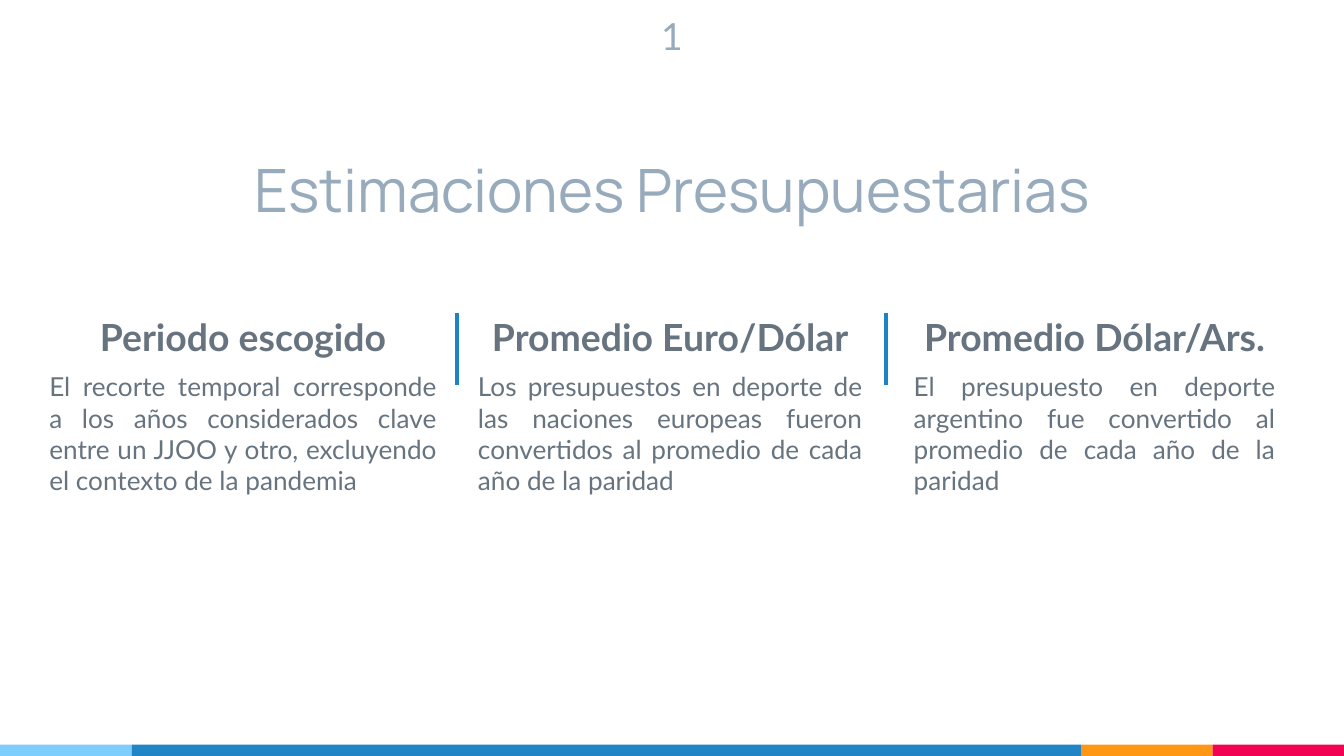
from dataclasses import dataclass

from lxml.etree import SubElement
from pptx import Presentation
from pptx.dml.color import RGBColor
from pptx.enum.shapes import MSO_CONNECTOR, MSO_SHAPE
from pptx.enum.text import MSO_ANCHOR as Anchor, MSO_AUTO_SIZE, PP_ALIGN as Align
from pptx.oxml.ns import qn
from pptx.util import Pt

SKY = RGBColor(0x7E, 0xCE, 0xFD)
BLUE = RGBColor(0x21, 0x85, 0xC5)
AMBER = RGBColor(0xFF, 0x97, 0x15)
PINK = RGBColor(0xF2, 0x02, 0x53)
RULE = RGBColor(0x1C, 0x83, 0xC5)
PALE = RGBColor(0x97, 0xAB, 0xBC)
SLATE = RGBColor(0x67, 0x74, 0x80)
WHITE = RGBColor(0xFF, 0xFF, 0xFF)

WIDTH, HEIGHT = 720, 405
INSET = 7.2
BAR_TOP = 398.9
TEXT_TOP, TEXT_HIGH = 161.3, 109.4
RULE_TOP, RULE_END = 167.5, 206.5


@dataclass
class Band:
    width: float
    color: RGBColor


@dataclass
class Column:
    left: float
    width: float
    head: str
    body: str


BANDS = [Band(70.5, SKY), Band(508.7, BLUE), Band(70.4, AMBER), Band(70.4, PINK)]

COLUMNS = [
    Column(19.3, 221.8, "Periodo escogido",
           "El recorte temporal corresponde a los años considerados clave "
           "entre un JJOO y otro, excluyendo el contexto de la pandemia"),
    Column(249, 220.2, "Promedio Euro/Dólar",
           "Los presupuestos en deporte de las naciones europeas fueron "
           "convertidos al promedio de cada año de la paridad"),
    Column(482.4, 208, "Promedio Dólar/Ars.",
           "El presupuesto en deporte argentino fue convertido al "
           "promedio de cada año de la paridad"),
]

RULES = [244.8, 474.5]


def set_frame(shape, anchor=Anchor.TOP):
    frame = shape.text_frame
    frame.word_wrap = True
    frame.auto_size = MSO_AUTO_SIZE.NONE
    frame.vertical_anchor = anchor
    frame.margin_left = frame.margin_right = Pt(INSET)
    frame.margin_top = frame.margin_bottom = Pt(INSET)
    return frame


def add_box(slide, left: float, top: float, width: float, height: float):
    box = slide.shapes.add_textbox(Pt(left), Pt(top), Pt(width), Pt(height))
    return set_frame(box)


def write(para, text: str, *, size: float, color: RGBColor, font: str = "Lato",
          bold: bool = False, align=Align.CENTER, before: float = 0) -> None:
    para.alignment = align
    para.space_before = Pt(before)
    run = para.add_run()
    run.text = text
    run.font.name = font
    run.font.size = Pt(size)
    run.font.bold = bold
    run.font.color.rgb = color


def draw_bands(slide, bands: list[Band]) -> None:
    left = 0
    for band in bands:
        bar = slide.shapes.add_shape(MSO_SHAPE.RECTANGLE, Pt(left), Pt(BAR_TOP),
                                     Pt(band.width), Pt(HEIGHT - BAR_TOP))
        bar.shadow.inherit = False
        bar.fill.solid()
        bar.fill.fore_color.rgb = band.color
        bar.line.fill.background()
        left += band.width


def draw_column(slide, col: Column) -> None:
    frame = add_box(slide, col.left, TEXT_TOP, col.width, TEXT_HIGH)
    write(frame.paragraphs[0], col.head, size=20, color=SLATE, bold=True)
    write(frame.add_paragraph(), col.body, size=14, color=SLATE,
          align=Align.JUSTIFY, before=6)


def draw_rule(slide, left: float) -> None:
    rule = slide.shapes.add_connector(MSO_CONNECTOR.STRAIGHT, Pt(left), Pt(RULE_TOP),
                                      Pt(left), Pt(RULE_END))
    rule.line.color.rgb = RULE
    rule.line.width = Pt(2.25)
    SubElement(rule._element.spPr, qn("a:effectLst"))


def main() -> None:
    deck = Presentation()
    deck.slide_width, deck.slide_height = Pt(WIDTH), Pt(HEIGHT)
    slide = deck.slides.add_slide(deck.slide_layouts[5])
    slide.background.fill.solid()
    slide.background.fill.fore_color.rgb = WHITE

    # Bottom colour strip
    draw_bands(slide, BANDS)

    # Title
    title = slide.shapes.title
    title.left, title.top = Pt(105.8), Pt(59.8)
    title.width, title.height = Pt(509), Pt(67.7)
    frame = set_frame(title, Anchor.BOTTOM)
    write(frame.paragraphs[0], "Estimaciones Presupuestarias",
          size=32, color=PALE, font="Manrope")

    # Page number
    frame = add_box(slide, 0, 0, WIDTH, 24.5)
    write(frame.paragraphs[0], "1", size=20, color=PALE)

    # Text columns and the rules between them
    for col in COLUMNS:
        draw_column(slide, col)
    for left in RULES:
        draw_rule(slide, left)

    deck.save("out.pptx")


if __name__ == "__main__":
    main()
